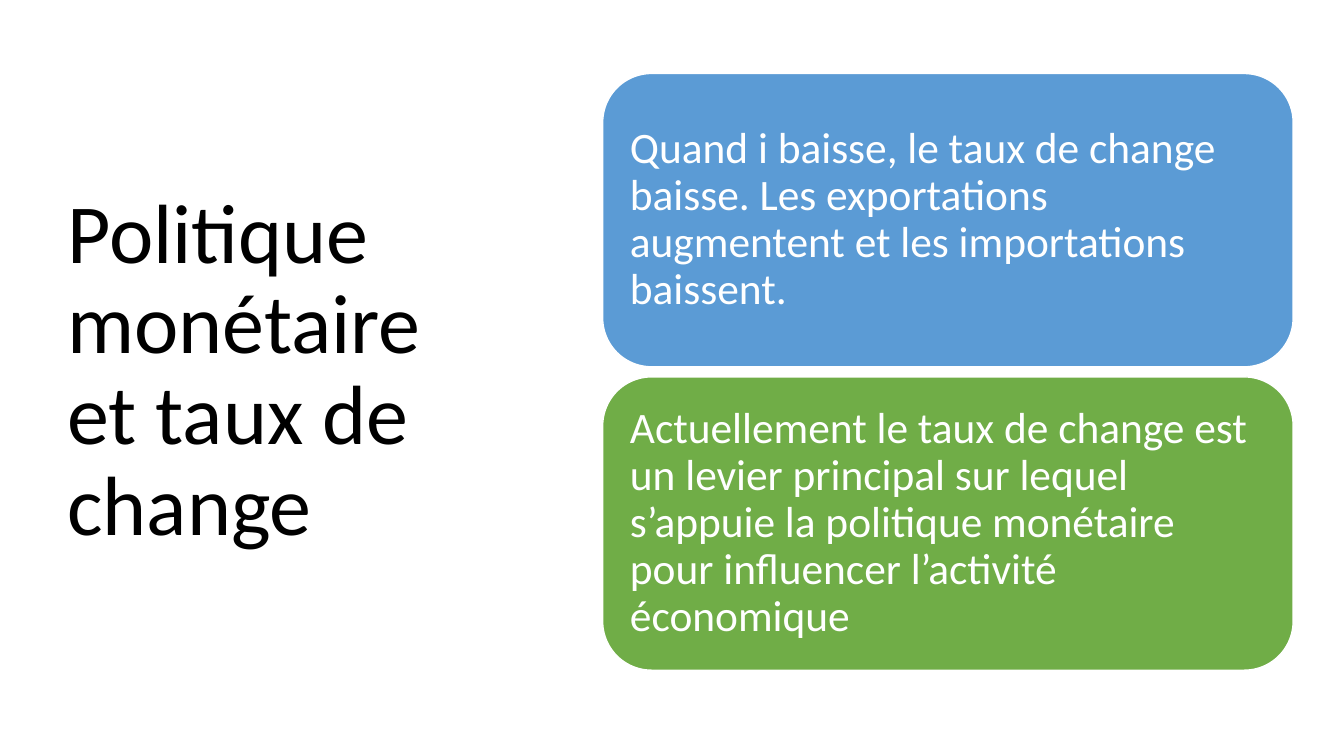
import pptx
import pptx.util
import pptx.dml.color
import pptx.enum.shapes
import pptx.enum.text

Pt = pptx.util.Pt

# Content
title = "Politique monétaire et taux de change"
cards = [
    ("Quand i baisse, le taux de change baisse. Les exportations "
     "augmentent et les importations baissent.", "5B9BD5"),
    ("Actuellement le taux de change est un levier principal sur lequel "
     "s’appuie la politique monétaire pour influencer l’activité économique", "70AD47"),
]

# Layout in points
page = (960, 540)
head = (41, 49, 299.5, 433.5)
left, top, width, height = 430.5, 52.5, 493.2, 209.5
gap = 7.2


def color(code):
    return pptx.dml.color.RGBColor.from_string(code)


def write(shape, text, size, code, pad):
    """Put one left-aligned, vertically centred paragraph in a shape."""
    frame = shape.text_frame
    form = {"word_wrap": True, "vertical_anchor": pptx.enum.text.MSO_ANCHOR.MIDDLE,
            "margin_left": Pt(pad[0]), "margin_right": Pt(pad[0]),
            "margin_top": Pt(pad[1]), "margin_bottom": Pt(pad[1])}
    for name, value in form.items():
        setattr(frame, name, value)
    para = frame.paragraphs[0]
    para.text = text
    para.alignment = pptx.enum.text.PP_ALIGN.LEFT
    para.line_spacing = 0.9
    font = para.runs[0].font
    for name, value in {"name": "Calibri", "size": Pt(size)}.items():
        setattr(font, name, value)
    font.color.rgb = color(code)


deck = pptx.Presentation()
deck.slide_width, deck.slide_height = map(Pt, page)
slide = deck.slides.add_slide(deck.slide_layouts[6])

# Title on the left
box = slide.shapes.add_textbox(*map(Pt, head))
write(box, title, 60, "000000", (7.2, 3.6))

# Stacked cards on the right
for row, (text, fill) in enumerate(cards):
    place = (left, top + row * (height + gap), width, height)
    card = slide.shapes.add_shape(
        pptx.enum.shapes.MSO_SHAPE.ROUNDED_RECTANGLE, *map(Pt, place))
    card.shadow.inherit = False
    card.fill.solid()
    card.fill.fore_color.rgb = color(fill)
    card.line.color.rgb = color("FFFFFF")
    card.line.width = Pt(1)
    write(card, text, 31, "FFFFFF", (9.3, 9.3))

deck.save("out.pptx")
